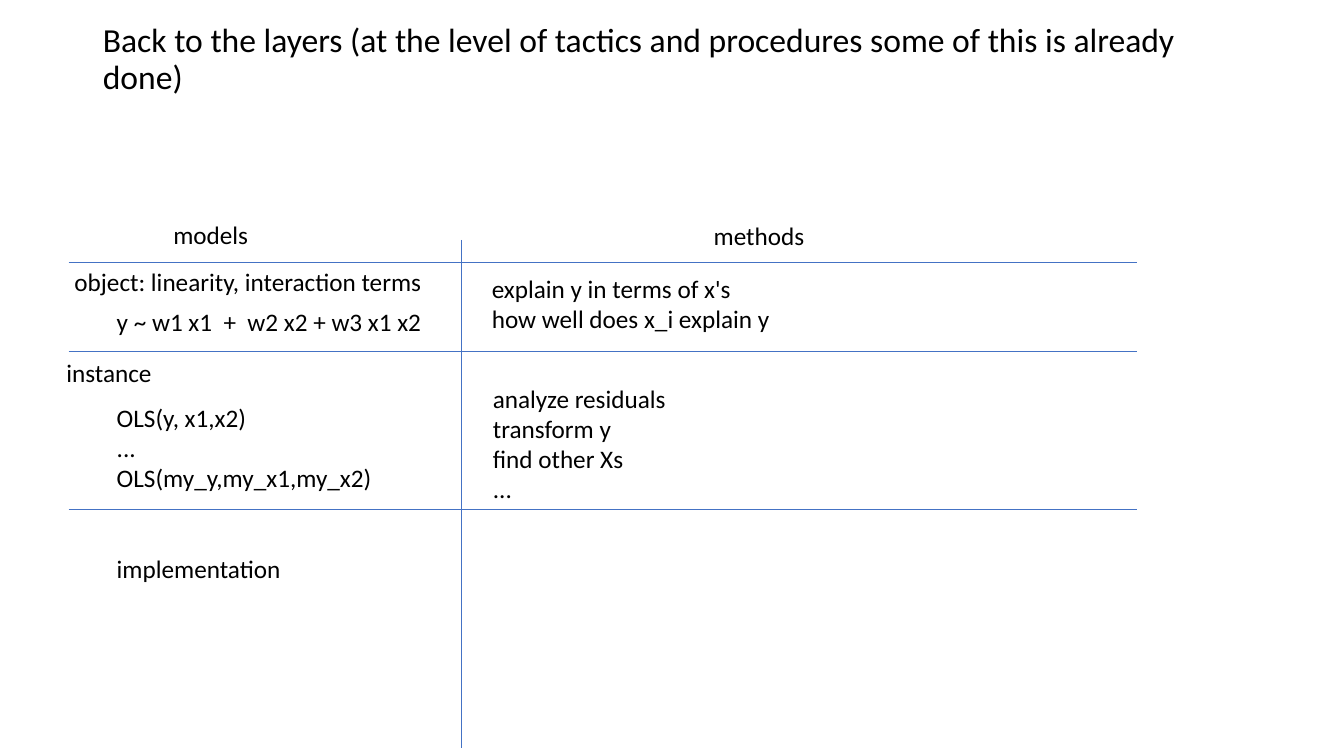
import pptx
import pptx.util
import pptx.dml.color
import pptx.enum.shapes
import pptx.enum.text
import pptx.oxml
from pptx.util import Inches

COLORS = {"text": "000000", "rule": "4472C4"}
FONT = "Calibri"
TABLE_LEFT, TABLE_RIGHT = 0.68, 11.28
ROW_RULES = [2.6, 3.49, 5.05]
DIVIDER_X, DIVIDER_TOP, DIVIDER_BOTTOM = 4.58, 2.38, 7.42

TEXTS = [
    ((1.62, 2.13, 0.95, 0.4), False, ["models"]),
    ((6.98, 2.14, 1.11, 0.4), False, ["methods"]),
    ((0.64, 2.59, 3.68, 0.4), False, ["object: linearity, interaction terms"]),
    ((1.06, 2.99, 3.3, 0.4), True, ["y ~ w1 x1  +  w2 x2 + w3 x1 x2"]),
    ((4.78, 2.66, 6.3, 0.71), True,
     ["explain y in terms of x's", "how well does x_i explain y"]),
    ((0.56, 3.5, 1.06, 0.4), False, ["instance"]),
    ((1.06, 3.94, 3.5, 1.01), True,
     ["OLS(y, x1,x2)", "...", "OLS(my_y,my_x1,my_x2)"]),
    ((4.79, 3.75, 6.3, 1.31), True,
     ["analyze residuals", "transform y", "find other Xs", "..."]),
    ((1.06, 5.44, 3.5, 0.4), True, ["implementation"]),
]


def rgb(name):
    return pptx.dml.color.RGBColor.from_string(COLORS[name])


def set_attrs(target, values):
    for name, value in values.items():
        setattr(target, name, value)


def style_font(font, size):
    set_attrs(font, {"name": FONT, "size": pptx.util.Pt(size)})
    font.color.rgb = rgb("text")


def add_title(s, text):
    sp = s.shapes.title
    set_attrs(sp, {"left": Inches(0.92), "top": Inches(0.4),
                   "width": Inches(11.5), "height": Inches(0.39)})
    tf = sp.text_frame
    set_attrs(tf, {"word_wrap": True,
                   "auto_size": pptx.enum.text.MSO_AUTO_SIZE.NONE,
                   "vertical_anchor": pptx.enum.text.MSO_ANCHOR.MIDDLE})
    p = tf.paragraphs[0]
    set_attrs(p, {"alignment": pptx.enum.text.PP_ALIGN.LEFT,
                  "line_spacing": 0.9})
    r = p.add_run()
    r.text = text
    style_font(r.font, 24)


def add_text(s, box, wrap, lines):
    tf = s.shapes.add_textbox(*map(Inches, box)).text_frame
    set_attrs(tf, {"word_wrap": wrap,
                   "auto_size": pptx.enum.text.MSO_AUTO_SIZE.SHAPE_TO_FIT_TEXT})
    for i, line in enumerate(lines):
        p = tf.add_paragraph() if i else tf.paragraphs[0]
        r = p.add_run()
        r.text = line
        style_font(r.font, 18)


def add_rule(s, x1, y1, x2, y2):
    c = s.shapes.add_connector(pptx.enum.shapes.MSO_CONNECTOR.STRAIGHT,
                               *map(Inches, (x1, y1, x2, y2)))
    c.line.width = pptx.util.Pt(0.5)
    c.line.color.rgb = rgb("rule")
    c._element.spPr.append(pptx.oxml.parse_xml(
        '<a:effectLst xmlns:a='
        '"http://schemas.openxmlformats.org/drawingml/2006/main"/>'))


def main():
    prs = pptx.Presentation()
    set_attrs(prs, {"slide_width": Inches(13.33), "slide_height": Inches(7.5)})
    s = prs.slides.add_slide(prs.slide_layouts[5])
    add_title(s, "Back to the layers (at the level of tactics and procedures "
                 "some of this is already done)")
    for y in ROW_RULES:
        add_rule(s, TABLE_LEFT, y, TABLE_RIGHT, y)
    add_rule(s, DIVIDER_X, DIVIDER_TOP, DIVIDER_X, DIVIDER_BOTTOM)
    for box, wrap, lines in TEXTS:
        add_text(s, box, wrap, lines)
    prs.save("out.pptx")


if __name__ == "__main__":
    main()
